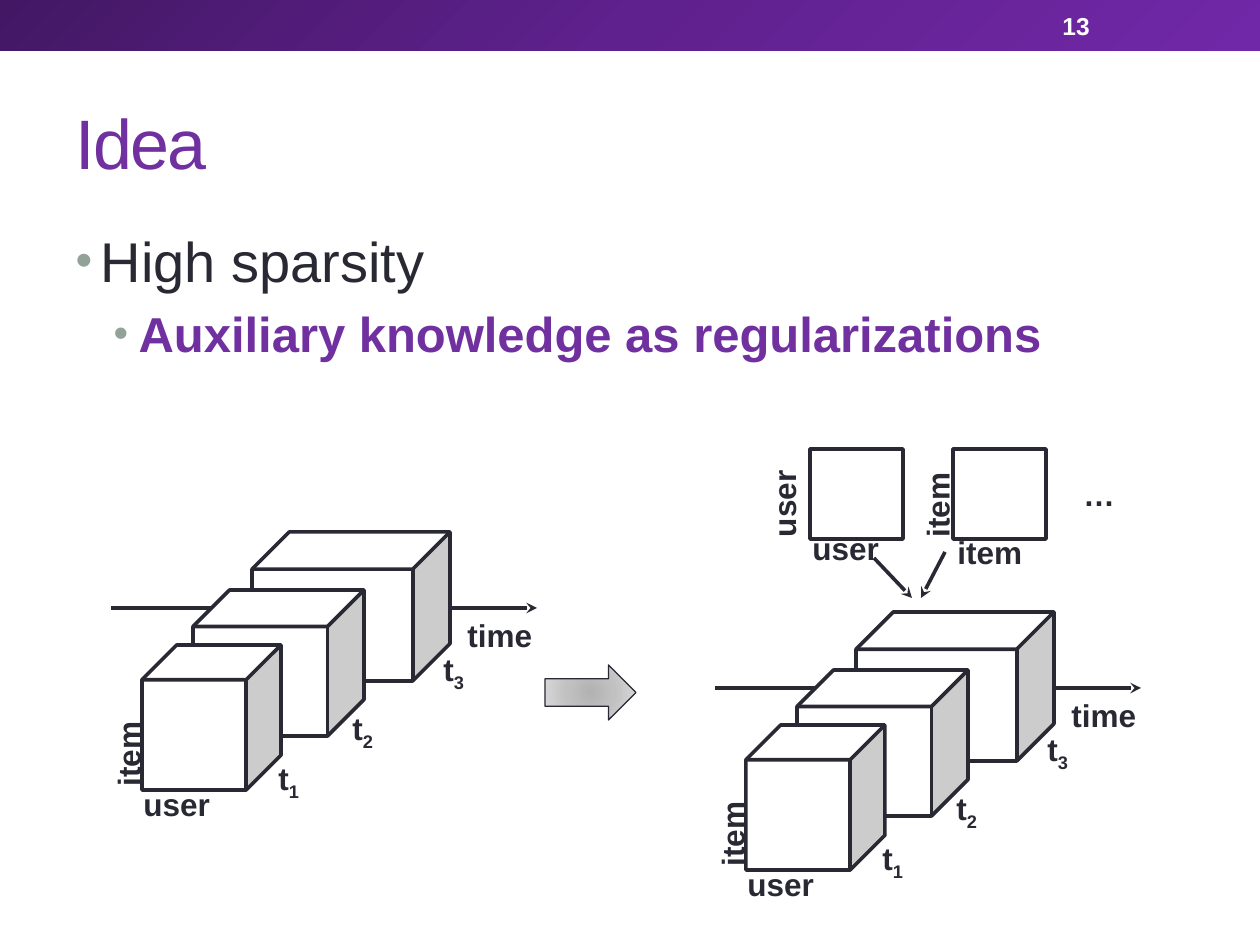
from lxml.etree import SubElement
from pptx import Presentation
from pptx.dml.color import RGBColor
from pptx.enum.shapes import MSO_CONNECTOR, MSO_SHAPE
from pptx.enum.text import MSO_ANCHOR, MSO_AUTO_SIZE, PP_ALIGN
from pptx.oxml.ns import qn
from pptx.util import Emu, Pt

# Content; lengths in px, 126 px to the inch
SCALE = 914400 / 126
FONT = "Arial"
INK, PURPLE, WHITE, BULLET = "292934", "7030A0", "FFFFFF", "93A299"
TITLE = "Idea"
# text, size, bold, colour, left indent, space before
BULLETS = [
    ("High sparsity", 32, False, INK, 25, 0),
    ("Auxiliary knowledge as regularizations", 28, True, PURPLE, 63, 5.6),
]
HEADER_STOPS = [(0, "431764"), (50, "5F218E"), (100, "7128A8")]
ARROW_STOPS = [(0, "B2B2B3"), (45, "C1C1C2"), (100, "DDDDDE")]

# Time-sliced cubes, drawn once per origin
STACK_ORIGINS = [(0, 0), (604, 80)]
STACK_CUBES = [(252, 532, 198, 149), (193, 590, 171, 146), (142, 645, 139, 145)]
TIME_AXIS = [((111, 608, 239, 608), False), ((450, 608, 537, 608), True)]
# text, subscript, left, top, width, rotation
STACK_LABELS = [
    ("time", "", 455, 610, 91, 0), ("user", "", 131, 779, 92, 0),
    ("item", "", 83, 728, 91, 270), ("t", "1", 266, 753, 48, 0),
    ("t", "2", 340, 703, 48, 0), ("t", "3", 431, 644, 48, 0),
]

# Auxiliary matrices feeding the right-hand stack
MATRICES = [(810, 449, 93, 90), (953, 449, 93, 90)]
MATRIX_LABELS = [
    ("…", "", 1071, 469, 57, 0), ("user", "", 800, 523, 92, 0),
    ("user", "", 738, 478, 92, 270), ("item", "", 892, 479, 91, 270),
    ("item", "", 945, 527, 91, 0),
]
MATRIX_ARROWS = [(874, 558, 912, 598), (945, 552, 921, 598)]


def px(*values):
    return [Emu(round(value * SCALE)) for value in values]


def color(value):
    return RGBColor.from_string(value)


def style(font, size, value, bold=False):
    font.name, font.size, font.bold = FONT, Pt(size), bold
    font.color.rgb = color(value)


def add_shape(kind, *box):
    shape = slide.shapes.add_shape(kind, *px(*box))
    shape.shadow.inherit = False
    return shape


def fill_gradient(shape, stops, kind, **attributes):
    shape.fill.gradient()
    gradient = shape._element.spPr.find(qn("a:gradFill"))
    for child in list(gradient):
        gradient.remove(child)
    stop_list = SubElement(gradient, qn("a:gsLst"))
    for position, value in stops:
        stop = SubElement(stop_list, qn("a:gs"), pos=str(position * 1000))
        SubElement(stop, qn("a:srgbClr"), val=value)
    return SubElement(gradient, qn(kind), **attributes)


def add_cube(box, depth=None):
    cube = add_shape(MSO_SHAPE.CUBE, *box)
    if depth is not None:
        cube.adjustments[0] = depth
    cube.fill.solid()
    cube.fill.fore_color.rgb = color(WHITE)
    cube.line.color.rgb = color(INK)
    cube.line.width = Pt(2.08)


def add_line(ends, arrow):
    line = slide.shapes.add_connector(MSO_CONNECTOR.STRAIGHT, *px(*ends))
    line.line.color.rgb = color(INK)
    line.line.width = Pt(2.08)
    if arrow:
        SubElement(line.line._get_or_add_ln(), qn("a:tailEnd"), type="stealth")
    SubElement(line._element.spPr, qn("a:effectLst"))


def add_label(text, subscript, left, top, width, rotation):
    box = slide.shapes.add_textbox(*px(left, top, width, 51))
    box.rotation = rotation
    box.text_frame.word_wrap = False
    box.text_frame.auto_size = MSO_AUTO_SIZE.SHAPE_TO_FIT_TEXT
    paragraph = box.text_frame.paragraphs[0]
    for part in filter(None, (text, subscript)):
        run = paragraph.add_run()
        run.text = part
        style(run.font, 18, INK, True)
        if part == subscript:
            run.font._element.set("baseline", "-25000")


def place(shape, *box):
    shape.left, shape.top, shape.width, shape.height = px(*box)


presentation = Presentation()
presentation.slide_width, presentation.slide_height = px(1260, 945)
slide = presentation.slides.add_slide(presentation.slide_layouts[1])

# Header band and slide number
header = add_shape(MSO_SHAPE.RECTANGLE, 0, 0, 1260, 51)
fill_gradient(header, HEADER_STOPS, "a:lin", ang="2700000", scaled="0")
header.line.fill.background()
number = slide.shapes.add_textbox(*px(1050, 3, 147, 45))
number.text_frame.word_wrap = True
number.text_frame.vertical_anchor = MSO_ANCHOR.MIDDLE
number.text_frame.text = "13"
style(number.text_frame.paragraphs[0].runs[0].font, 14, WHITE, True)

# Title
title = slide.shapes.title
place(title, 63, 73, 1134, 136)
title.text_frame.text = TITLE
title.text_frame.vertical_anchor = MSO_ANCHOR.MIDDLE
paragraph = title.text_frame.paragraphs[0]
paragraph.alignment = PP_ALIGN.LEFT
style(paragraph.runs[0].font, 40, PURPLE)
paragraph.runs[0].font._element.set("spc", "-100")

# Bulleted list
body = slide.placeholders[1]
place(body, 63, 220, 1134, 672)
frame = body.text_frame
frame.auto_size = MSO_AUTO_SIZE.NONE
frame.text = "\n".join(item[0] for item in BULLETS)
for level, (paragraph, item) in enumerate(zip(frame.paragraphs, BULLETS)):
    text, size, bold, value, indent, space = item
    paragraph.level = level
    paragraph.space_before = Pt(space)
    properties = paragraph._element.get_or_add_pPr()
    properties.set("marL", str(px(indent)[0]))
    properties.set("indent", str(px(-25)[0]))
    bullet_color = SubElement(properties, qn("a:buClr"))
    SubElement(bullet_color, qn("a:srgbClr"), val=BULLET)
    SubElement(properties, qn("a:buSzPct"), val="85000")
    SubElement(properties, qn("a:buFont"), typeface=FONT)
    SubElement(properties, qn("a:buChar"), char="•")
    style(paragraph.runs[0].font, size, value, bold)

# Auxiliary matrices
for box in MATRICES:
    add_cube(box, depth=0)
for label in MATRIX_LABELS:
    add_label(*label)
for ends in MATRIX_ARROWS:
    add_line(ends, True)

# Arrow between the two stacks
arrow = add_shape(MSO_SHAPE.DOWN_ARROW, 563, 647, 55, 91)
arrow.rotation = 270
gradient_path = fill_gradient(arrow, ARROW_STOPS, "a:path", path="circle")
SubElement(gradient_path, qn("a:fillToRect"), dict.fromkeys("ltrb", "100000"))
arrow.line.color.rgb = color(INK)
arrow.line.width = Pt(0.75)

# Cube stacks along the time axis
for dx, dy in STACK_ORIGINS:
    for (x1, y1, x2, y2), has_head in TIME_AXIS:
        add_line((x1 + dx, y1 + dy, x2 + dx, y2 + dy), has_head)
    for left, top, width, height in STACK_CUBES:
        add_cube((left + dx, top + dy, width, height))
    for text, subscript, left, top, width, rotation in STACK_LABELS:
        add_label(text, subscript, left + dx, top + dy, width, rotation)

presentation.save("out.pptx")
